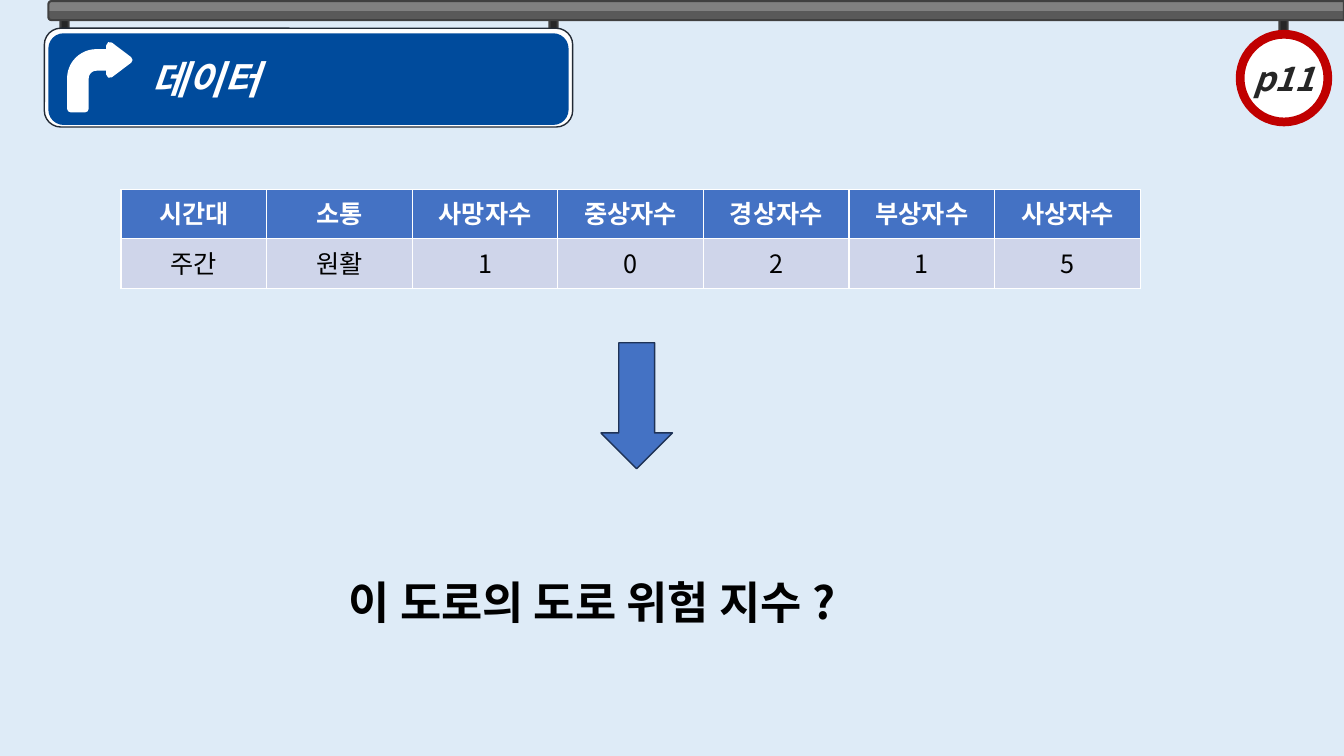
from lxml.etree import SubElement
from pptx import Presentation
from pptx.dml.color import RGBColor
from pptx.enum.shapes import MSO_SHAPE as SHAPE
from pptx.enum.text import MSO_ANCHOR as ANCHOR, PP_ALIGN as ALIGN
from pptx.oxml.ns import qn
from pptx.util import Pt

PX = 9144  # 100 px to the inch
FONT = "Noto Sans CJK KR"
WHITE, DARK, BLUE = "FFFFFF", "262626", "4472C4"


def add_shape(kind, box, fill=None, line=None, width=1, adj=()):
    """Add a preset shape; box is left, top, width, height in px."""
    sp = s.shapes.add_shape(kind, *(v * PX for v in box))
    sp.shadow.inherit = False
    for i, value in enumerate(adj):
        sp.adjustments[i] = value
    if fill:
        sp.fill.solid()
        sp.fill.fore_color.rgb = RGBColor.from_string(fill)
    if line:
        sp.line.color.rgb = RGBColor.from_string(line)
        sp.line.width = Pt(width)
    else:
        sp.line.fill.background()
    return sp


def write(tf, text, size, color, align=ALIGN.LEFT, bold=True, italic=False):
    """Fill the first paragraph, setting the font for Latin and Korean letters."""
    p = tf.paragraphs[0]
    p.text = text
    p.alignment = align
    f = p.font
    f.size, f.bold, f.italic, f.name = Pt(size), bold, italic, FONT
    f.color.rgb = RGBColor.from_string(color)
    SubElement(p._p.pPr.find(qn("a:defRPr")), qn("a:ea"), typeface=FONT)
    return p


prs = Presentation()
prs.slide_width, prs.slide_height = 1333 * PX, 750 * PX
s = prs.slides.add_slide(prs.slide_layouts[5])
s.background.fill.solid()
s.background.fill.fore_color.rgb = RGBColor.from_string("DEEBF7")

# Overhead bar with its hangers
for left, rounding in ((1269, 0.17), (545, 0.5), (60, 0.5)):
    add_shape(SHAPE.ROUNDED_RECTANGLE, (left, 9, 8, 36), DARK, "404040", 1.5, [rounding])
bar = add_shape(SHAPE.ROUND_2_SAME_RECTANGLE, (681, -632, 19, 1285), None, "404040", 1.5)
bar.rotation = 270
bar.fill.gradient()
bar.fill.gradient_angle = 180
for stop, color in zip(bar.fill.gradient_stops, ("808080", "595959")):
    stop.position = 0.5
    stop.color.rgb = RGBColor.from_string(color)

# Road sign with the title
add_shape(SHAPE.ROUNDED_RECTANGLE, (44, 28, 524, 98), WHITE, "222A35")
add_shape(SHAPE.ROUNDED_RECTANGLE, (48, 33, 516, 91), "004B9C")
add_shape(SHAPE.BENT_ARROW, (70, 45, 58, 63), WHITE, WHITE, 5, [0.25, 0.25, 0.33, 0.44])
title = s.shapes.title
title.left, title.top, title.width, title.height = (v * PX for v in (150, 33, 400, 91))
tf = title.text_frame
tf.margin_left = 0
tf.vertical_anchor = ANCHOR.MIDDLE
write(tf, "데이터", 28, WHITE, italic=True)
s.shapes._spTree.append(title._element)  # bring in front of the sign

# Round page sign
page = add_shape(SHAPE.OVAL, (1230, 34, 87, 87), WHITE, "C00000", 6.25)
tf = page.text_frame
tf.word_wrap = False
tf.vertical_anchor = ANCHOR.MIDDLE
write(tf, "p11", 24, DARK, ALIGN.CENTER, italic=True)

# Accident table
rows = (
    ("시간대", "소통", "사망자수", "중상자수", "경상자수", "부상자수", "사상자수"),
    ("주간", "원활", "1", "0", "2", "1", "5"),
)
looks = ((BLUE, WHITE, True), ("CFD5EA", "000000", False))
table = s.shapes.add_table(2, 7, *(v * PX for v in (120, 188, 1011, 98))).table
for r, (values, (fill, color, bold)) in enumerate(zip(rows, looks)):
    for c, value in enumerate(values):
        cell = table.cell(r, c)
        cell.fill.solid()
        cell.fill.fore_color.rgb = RGBColor.from_string(fill)
        write(cell.text_frame, value, 18, color, ALIGN.CENTER, bold)

# Question below the table
add_shape(SHAPE.DOWN_ARROW, (596, 340, 71, 125), BLUE, "1E3256")
question = s.shapes.add_textbox(*(v * PX for v in (336, 539, 590, 80)))
question.text_frame.word_wrap = True
p = write(question.text_frame, "이 도로의 도로 위험 지수 ?", 32, "000000")
p.line_spacing = 1.5

prs.save("out.pptx")
